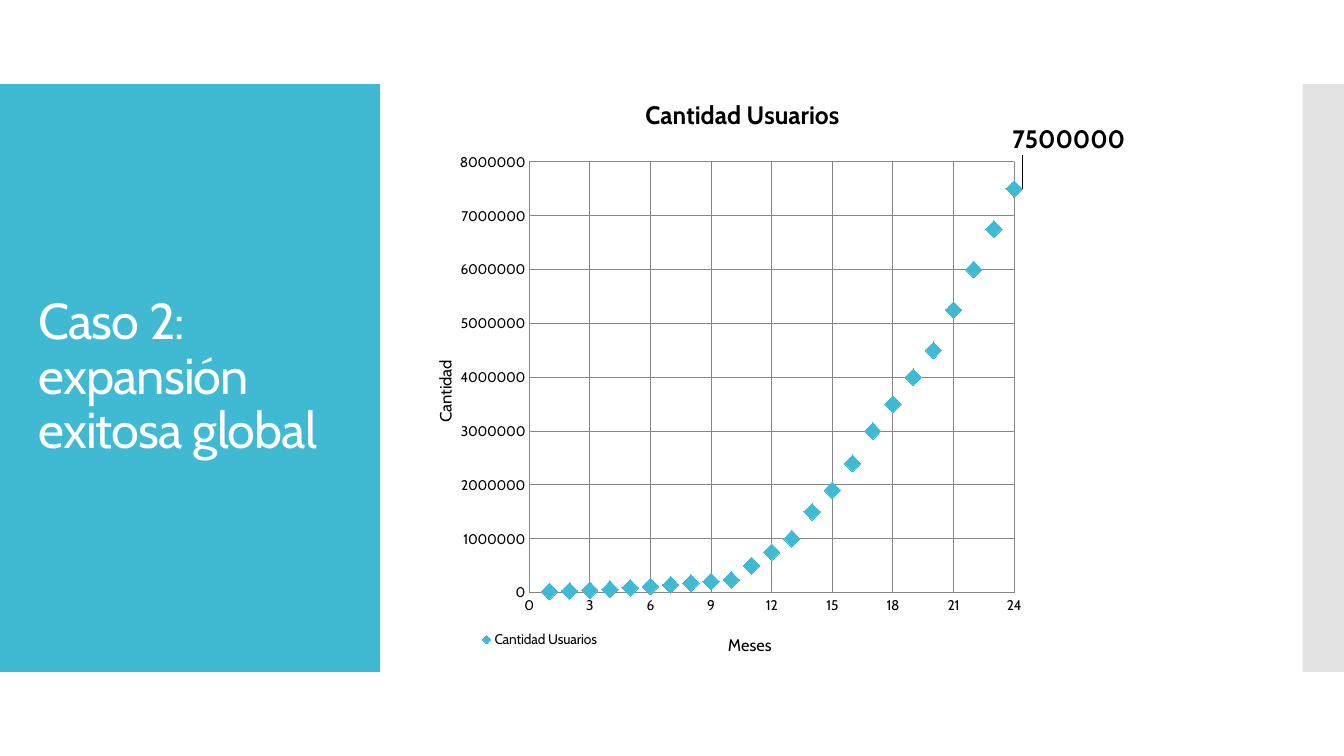
from dataclasses import dataclass
from lxml import etree
from pptx import Presentation
from pptx.chart.data import XyChartData
from pptx.dml.color import RGBColor
from pptx.enum import chart as kinds, shapes, text
from pptx.oxml import ns, parse_xml
from pptx import util as u


@dataclass(frozen=True)
class Theme:
    """Hold the colours, font and type sizes."""
    font: str = "Cabin"
    teal: str = "40BAD2"
    gray: str = "C8C8C8"
    grid: str = "868686"
    white: str = "FFFFFF"
    black: str = "000000"
    head: int = 36
    big: int = 18
    mid: int = 12
    small: int = 10


T = Theme()
WIDE, HIGH = 13.33, 7.5
USERS = [20000, 29400, 44100, 58800, 88200, 111800, 141200, 176500, 205900,
         235300, 500000, 750000, 1000000, 1500000, 1900000, 2400000, 3000000,
         3500000, 4000000, 4500000, 5250000, 6000000, 6750000, 7500000]


def inches(box):
    """Turn a box in inches into lengths."""
    return [u.Inches(n) for n in box]


def style(font, size, color=T.black, bold=False):
    """Set face, size, colour and weight."""
    font.name, font.size, font.bold = T.font, u.Pt(size), bold
    font.color.rgb = RGBColor.from_string(color)


def panel(slide, box, color, alpha=100):
    """Draw a plain filled band."""
    band = slide.shapes.add_shape(shapes.MSO_SHAPE.RECTANGLE, *inches(box))
    band.shadow.inherit = False
    band.fill.solid()
    band.fill.fore_color.rgb = RGBColor.from_string(color)
    band.line.fill.background()
    if alpha < 100:
        tone = band.fill._xPr.find(".//" + ns.qn("a:srgbClr"))
        etree.SubElement(tone, ns.qn("a:alpha")).set("val", str(alpha * 1000))


def heading(slide, box, words):
    """Place the title inside its band."""
    left, top, wide, high = box
    title = slide.shapes.title
    title.left, title.top, title.width, title.height = inches(
        (left + 0.28, top + 0.4, wide - 0.55, high - 0.8))
    frame = title.text_frame
    frame.word_wrap = True
    frame.auto_size = text.MSO_AUTO_SIZE.NONE
    frame.vertical_anchor = text.MSO_ANCHOR.MIDDLE
    para = frame.paragraphs[0]
    para.alignment, para.line_spacing = text.PP_ALIGN.LEFT, 0.9
    run = para.add_run()
    run.text = words
    style(run.font, T.head, T.white)
    run._r.get_or_add_rPr().set("spc", "-60")


def layout(node, spot, index, modes=("xMode", "yMode"), inner=False):
    """Give a chart part a manual place in shares of the chart."""
    for old in node.findall(ns.qn("c:layout")):
        node.remove(old)
    root = etree.Element(ns.qn("c:layout"))
    hand = etree.SubElement(root, ns.qn("c:manualLayout"))
    pairs = [("layoutTarget", "inner")] if inner else []
    pairs += [(mode, "edge") for mode in modes]
    pairs += zip("xywh", spot)
    for name, value in pairs:
        etree.SubElement(hand, ns.qn("c:" + name)).set("val", str(value))
    node.insert(index, root)


def caption(part, words, size, spot, bold=False):
    """Write and place a chart or axis title."""
    run = part.text_frame.paragraphs[0].add_run()
    run.text = words
    style(run.font, size, bold=bold)
    layout(part._element, spot, 1)


def scale(axis, top, step, words, spot):
    """Format one axis with its grid and title."""
    axis.minimum_scale, axis.maximum_scale, axis.major_unit = 0, top, step
    axis.major_tick_mark = axis.minor_tick_mark = kinds.XL_TICK_MARK.NONE
    axis.has_major_gridlines = True
    for line in (axis.format.line, axis.major_gridlines.format.line):
        line.color.rgb = RGBColor.from_string(T.grid)
        line.width = u.Pt(0.75)
    axis.tick_labels.number_format = "General"
    axis.tick_labels.number_format_is_linked = False
    style(axis.tick_labels.font, T.small)
    caption(axis.axis_title, words, T.mid, spot)


def callout(series, index):
    """Label one point with its value and a leader line."""
    label = series.points[index].data_label
    style(label.font, T.big, bold=True)
    label.position = kinds.XL_LABEL_POSITION.RIGHT
    labels = series._element.find(ns.qn("c:dLbls"))
    layout(labels.find(ns.qn("c:dLbl")), (-0.02, -0.08), 1, ())
    labels.find(ns.qn("c:showVal")).set("val", "0")
    labels.append(parse_xml(
        f'<c:extLst {ns.nsdecls("c")}>'
        '<c:ext uri="{CE6537A1-D6FC-4f65-9D91-7224C49458BB}" '
        'xmlns:c15="http://schemas.microsoft.com/office/drawing/2012/chart">'
        '<c15:showLeaderLines val="1"/></c:ext></c:extLst>'))


def growth(slide, box, name):
    """Plot users by month as a scatter chart."""
    data = XyChartData()
    rows = data.add_series(name)
    for month, count in enumerate(USERS, 1):
        rows.add_data_point(month, count)
    chart = slide.shapes.add_chart(
        kinds.XL_CHART_TYPE.XY_SCATTER, *inches(box), data).chart
    style(chart.font, T.small)
    chart.has_title = True
    caption(chart.chart_title, name, T.big, (0.33, 0.04), True)
    scale(chart.category_axis, 24, 3, "Meses", (0.45, 0.92))
    scale(chart.value_axis, 8000000, 1000000, "Cantidad", (0.03, 0.47))
    chart.has_legend = True
    legend = chart.legend
    legend.position = kinds.XL_LEGEND_POSITION.BOTTOM
    legend.include_in_layout = False
    style(legend.font, T.small)
    layout(legend._element, (0.1, 0.91, 0.17, 0.05), 1)
    area = chart._chartSpace.chart.plotArea
    layout(area, (0.17, 0.153, 0.694, 0.705), 0, inner=True)
    plot = chart.plots[0]
    plot.vary_by_categories = False
    series = plot.series[0]
    series.format.line.fill.background()
    mark = series.marker
    mark.style, mark.size = kinds.XL_MARKER_STYLE.DIAMOND, 12
    mark.format.fill.solid()
    mark.format.fill.fore_color.rgb = RGBColor.from_string(T.teal)
    mark.format.line.fill.background()
    callout(series, len(USERS) - 1)


def main():
    """Build and save the slide."""
    deck = Presentation()
    deck.slide_width, deck.slide_height = inches((WIDE, HIGH))
    slide = deck.slides.add_slide(deck.slide_layouts[5])
    top, high = HIGH / 9, HIGH * 7 / 9
    side = (0, top, 3.77, high)
    panel(slide, side, T.teal)
    panel(slide, (WIDE - 0.41, top, 0.41, high), T.gray, 50)
    heading(slide, side, "Caso 2: expansión exitosa global")
    tree = slide.shapes._spTree
    tree.append(slide.shapes.title._element)
    growth(slide, (4.07, 0.68, 7.09, 6.06), "Cantidad Usuarios")
    deck.save("out.pptx")


if __name__ == "__main__":
    main()
